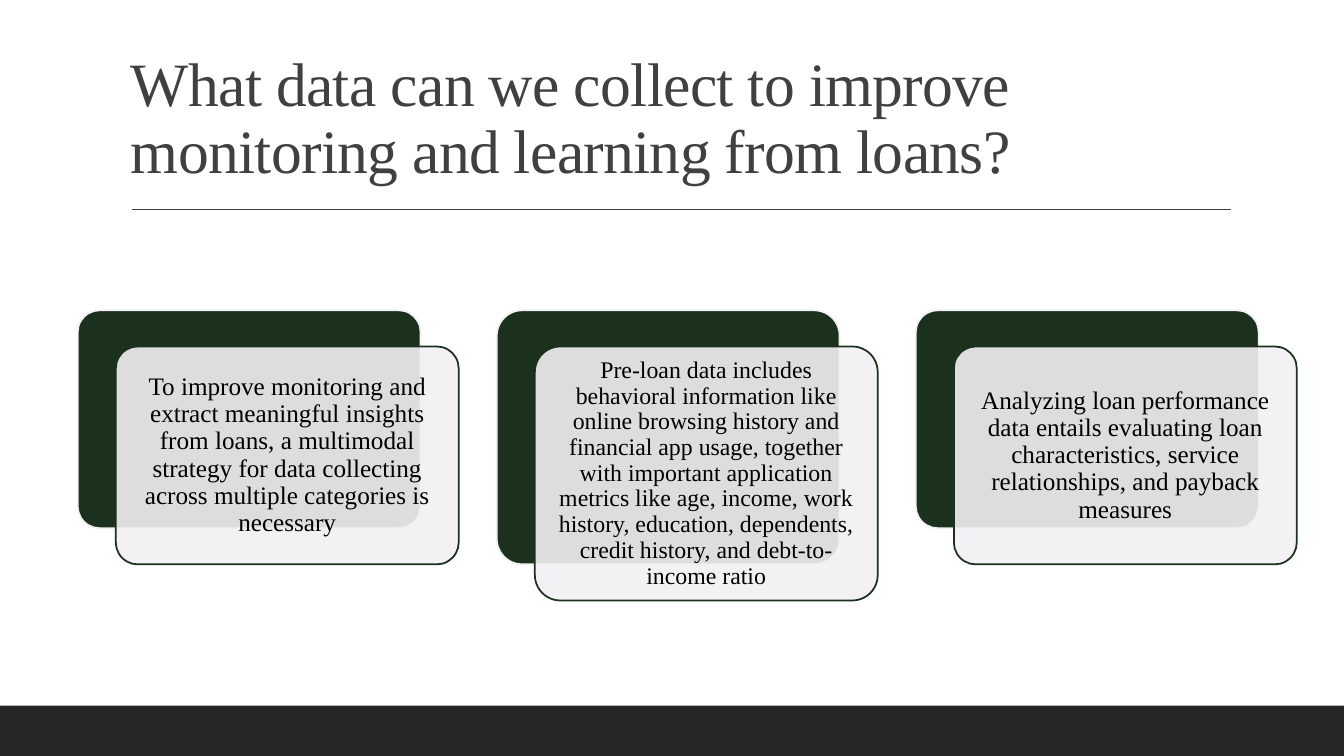
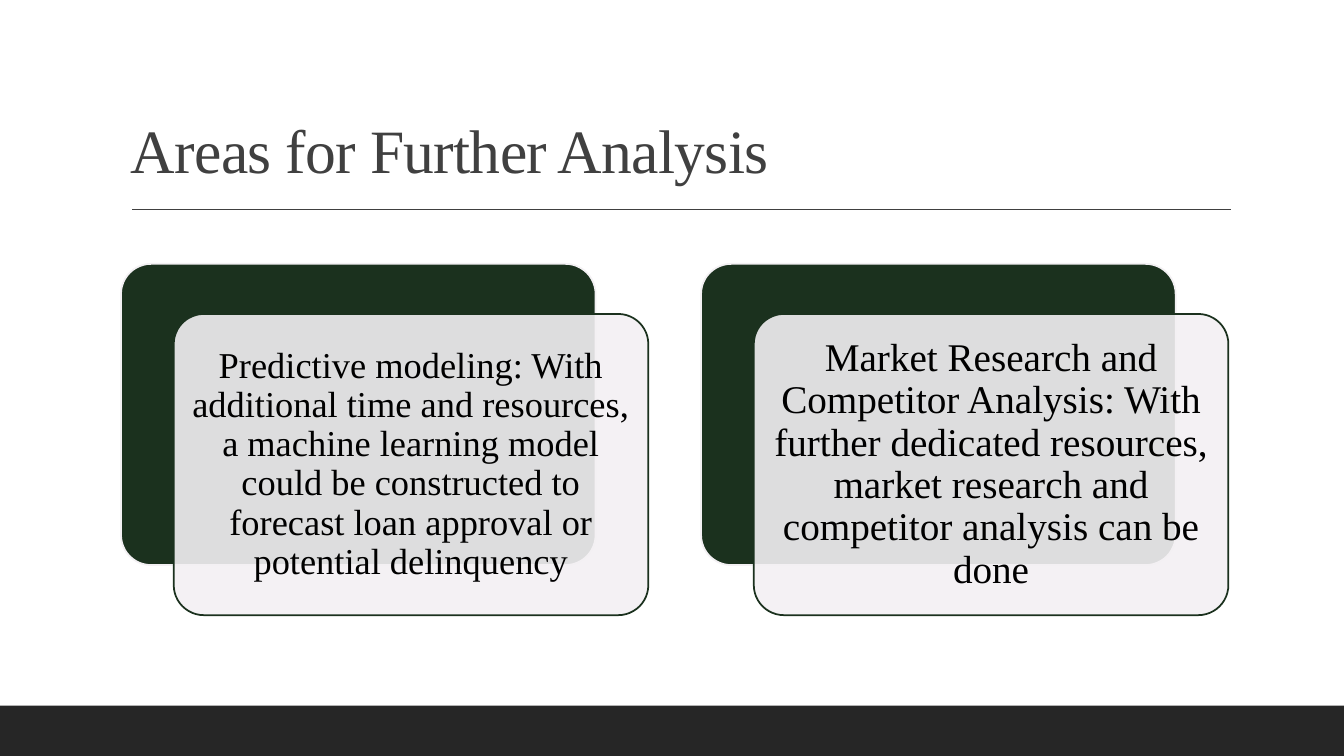
from dataclasses import dataclass

import lxml.etree
import pptx
import pptx.dml.color
import pptx.enum.shapes
import pptx.enum.text
import pptx.oxml.ns
import pptx.presentation
import pptx.shapes.autoshape
import pptx.slide
import pptx.text.text
import pptx.util

Cm = pptx.util.Cm
Pt = pptx.util.Pt
RGBColor = pptx.dml.color.RGBColor
MSO_SHAPE = pptx.enum.shapes.MSO_SHAPE
MSO_ANCHOR = pptx.enum.text.MSO_ANCHOR
PP_ALIGN = pptx.enum.text.PP_ALIGN
qn = pptx.oxml.ns.qn

WHITE = RGBColor(0xFF, 0xFF, 0xFF)
BLACK = RGBColor(0x00, 0x00, 0x00)
TITLE_GREY = RGBColor(0x40, 0x40, 0x40)
BAND_GREY = RGBColor(0x26, 0x26, 0x26)
GREEN = RGBColor(0x1B, 0x31, 0x1E)
PALE = RGBColor(0xF3, 0xF0, 0xF3)

FONT = "Times New Roman"
SLIDE_W, SLIDE_H = 33.87, 19.05
BAND_H = 1.27


@dataclass(frozen=True)
class Card:
    text: str
    size: int
    height: float


@dataclass(frozen=True)
class CardRow:
    title: str
    left: float
    top: float
    card_width: float
    cards: tuple[Card, ...]


ROWS = (
    CardRow(
        "What data can we collect to improve monitoring and learning from loans?",
        1.96, 7.82, 8.64,
        (
            Card("To improve monitoring and extract meaningful insights from loans, "
                 "a multimodal strategy for data collecting across multiple "
                 "categories is necessary", 18, 5.49),
            Card("Pre-loan data includes behavioral information like online browsing "
                 "history and financial app usage, together with important "
                 "application metrics like age, income, work history, education, "
                 "dependents, credit history, and debt-to-income ratio", 17, 6.4),
            Card("Analyzing loan performance data entails evaluating loan "
                 "characteristics, service relationships, and payback measures",
                 18, 5.49),
        ),
    ),
    CardRow(
        "Areas for Further Analysis",
        3.05, 6.65, 11.96,
        (
            Card("Predictive modeling: With additional time and resources, a machine "
                 "learning model could be constructed to forecast loan approval or "
                 "potential delinquency", 26, 7.59),
            Card("Market Research and Competitor Analysis: With further dedicated "
                 "resources, market research and competitor analysis can be done",
                 28, 7.59),
        ),
    ),
)


def set_text(tf: pptx.text.text.TextFrame, text: str, size: int,
             color: RGBColor) -> pptx.text.text._Paragraph:
    tf.word_wrap = True
    tf.text = text
    p = tf.paragraphs[0]
    p.line_spacing = 0.9
    r = p.runs[0]
    r.font.name = FONT
    r.font.size = Pt(size)
    r.font.color.rgb = color
    return p


def add_box(s: pptx.slide.Slide, kind: MSO_SHAPE, left: float, top: float,
            width: float, height: float,
            fill: RGBColor) -> pptx.shapes.autoshape.Shape:
    sp = s.shapes.add_shape(kind, Cm(left), Cm(top), Cm(width), Cm(height))
    sp.shadow.inherit = False
    sp.fill.solid()
    sp.fill.fore_color.rgb = fill
    sp.line.fill.background()
    return sp


def add_panel(s: pptx.slide.Slide, left: float, top: float, width: float,
              height: float, fill: RGBColor,
              line: RGBColor) -> pptx.shapes.autoshape.Shape:
    sp = add_box(s, MSO_SHAPE.ROUNDED_RECTANGLE, left, top, width, height, fill)
    sp.adjustments[0] = 0.1
    sp.line.color.rgb = line
    sp.line.width = Pt(1.25)
    return sp


def add_card(s: pptx.slide.Slide, card: Card, left: float, top: float,
             width: float) -> None:
    dx = width / 9
    dy = dx * 0.95
    add_panel(s, left, top, width, card.height, GREEN, PALE)
    sp = add_panel(s, left + dx, top + dy, width, card.height, PALE, GREEN)
    color = sp.fill._xPr.find(qn("a:solidFill"))[0]
    lxml.etree.SubElement(color, qn("a:alpha")).set("val", "90000")

    tf = sp.text_frame
    inset = Pt(card.size * 0.25)
    tf.margin_left = tf.margin_right = tf.margin_top = tf.margin_bottom = inset
    tf.vertical_anchor = MSO_ANCHOR.MIDDLE
    set_text(tf, card.text, card.size, BLACK).alignment = PP_ALIGN.CENTER


def add_frame(prs: pptx.presentation.Presentation, title: str) -> pptx.slide.Slide:
    s = prs.slides.add_slide(prs.slide_layouts[6])
    s.background.fill.solid()
    s.background.fill.fore_color.rgb = WHITE

    tb = s.shapes.add_textbox(Cm(3.05), Cm(0.79), Cm(27.94), Cm(4.04))
    tb.text_frame.vertical_anchor = MSO_ANCHOR.BOTTOM
    p = set_text(tb.text_frame, title, 44, TITLE_GREY)
    p.runs[0].font._element.set("spc", "-50")

    rule = s.shapes.add_connector(pptx.enum.shapes.MSO_CONNECTOR.STRAIGHT,
                                  Cm(3.33), Cm(5.28), Cm(31.01), Cm(5.28))
    rule.line.color.rgb = TITLE_GREY
    rule.line.width = Pt(1)
    lxml.etree.SubElement(rule._element.spPr, qn("a:effectLst"))

    add_box(s, MSO_SHAPE.RECTANGLE, 0, SLIDE_H - BAND_H, SLIDE_W, BAND_H, BAND_GREY)
    return s


def main() -> None:
    prs = pptx.Presentation()
    prs.slide_width, prs.slide_height = Cm(SLIDE_W), Cm(SLIDE_H)
    for row in ROWS:
        s = add_frame(prs, row.title)
        pitch = row.card_width * 11 / 9
        for i, card in enumerate(row.cards):
            add_card(s, card, row.left + i * pitch, row.top, row.card_width)
    prs.save("out.pptx")


if __name__ == "__main__":
    main()
